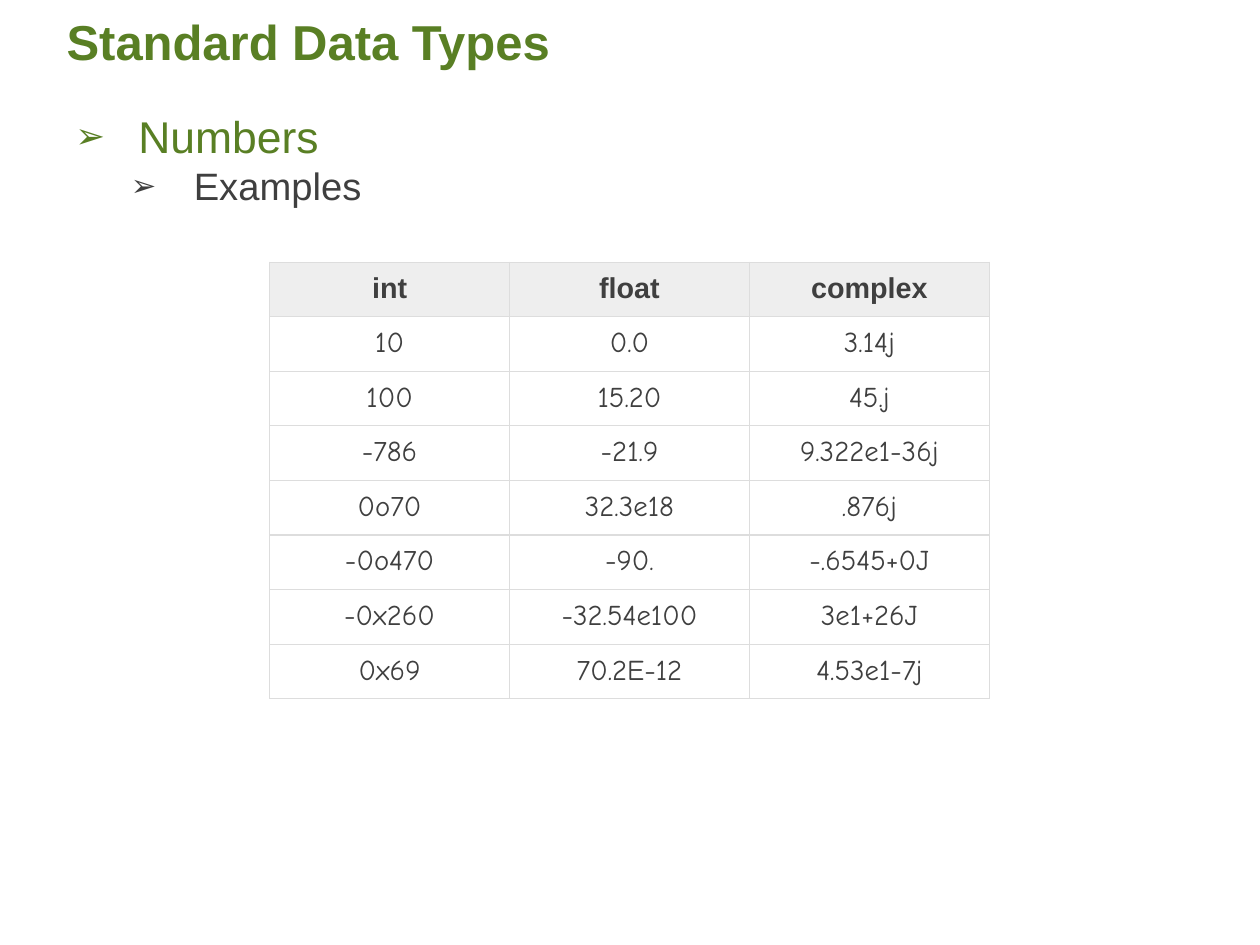
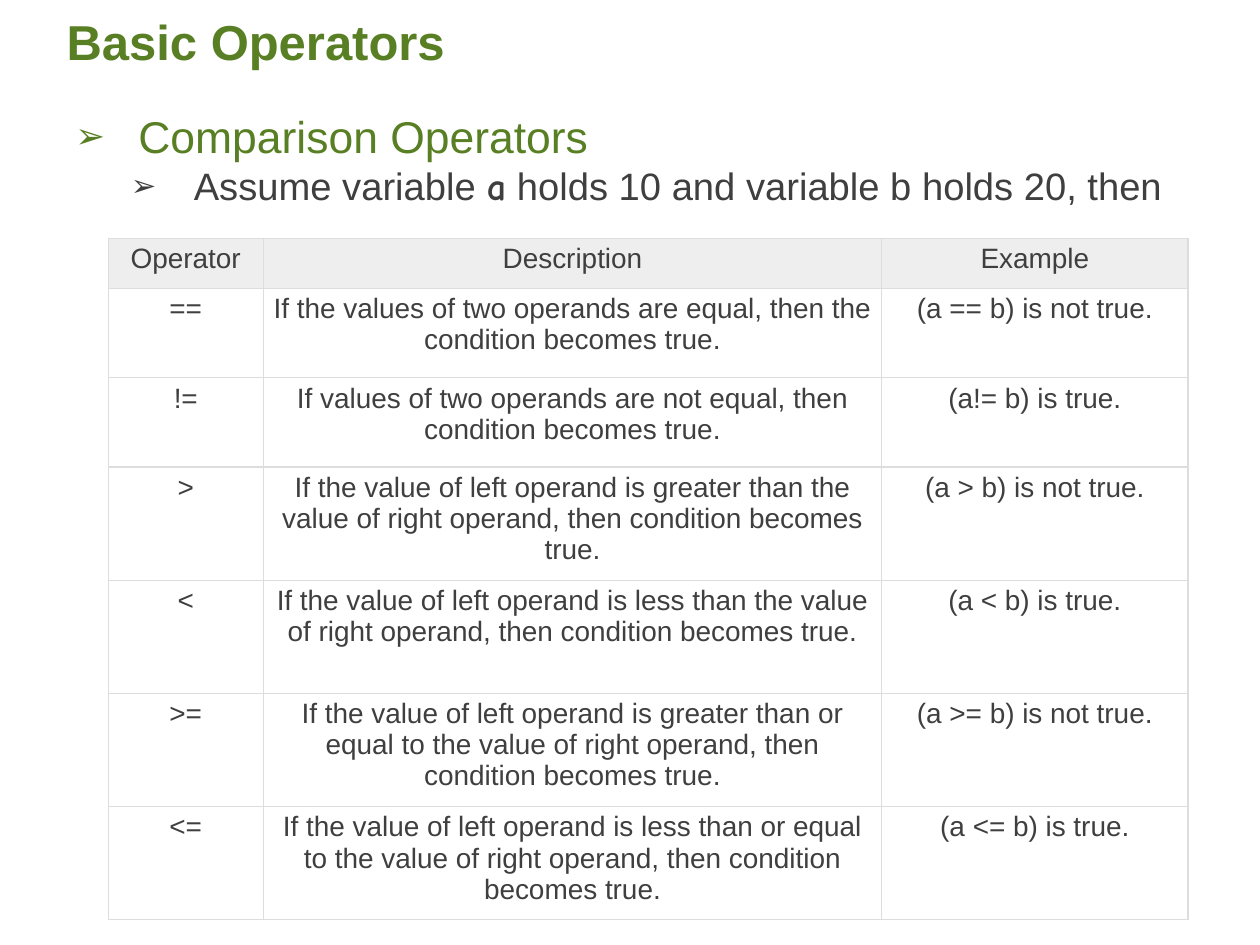
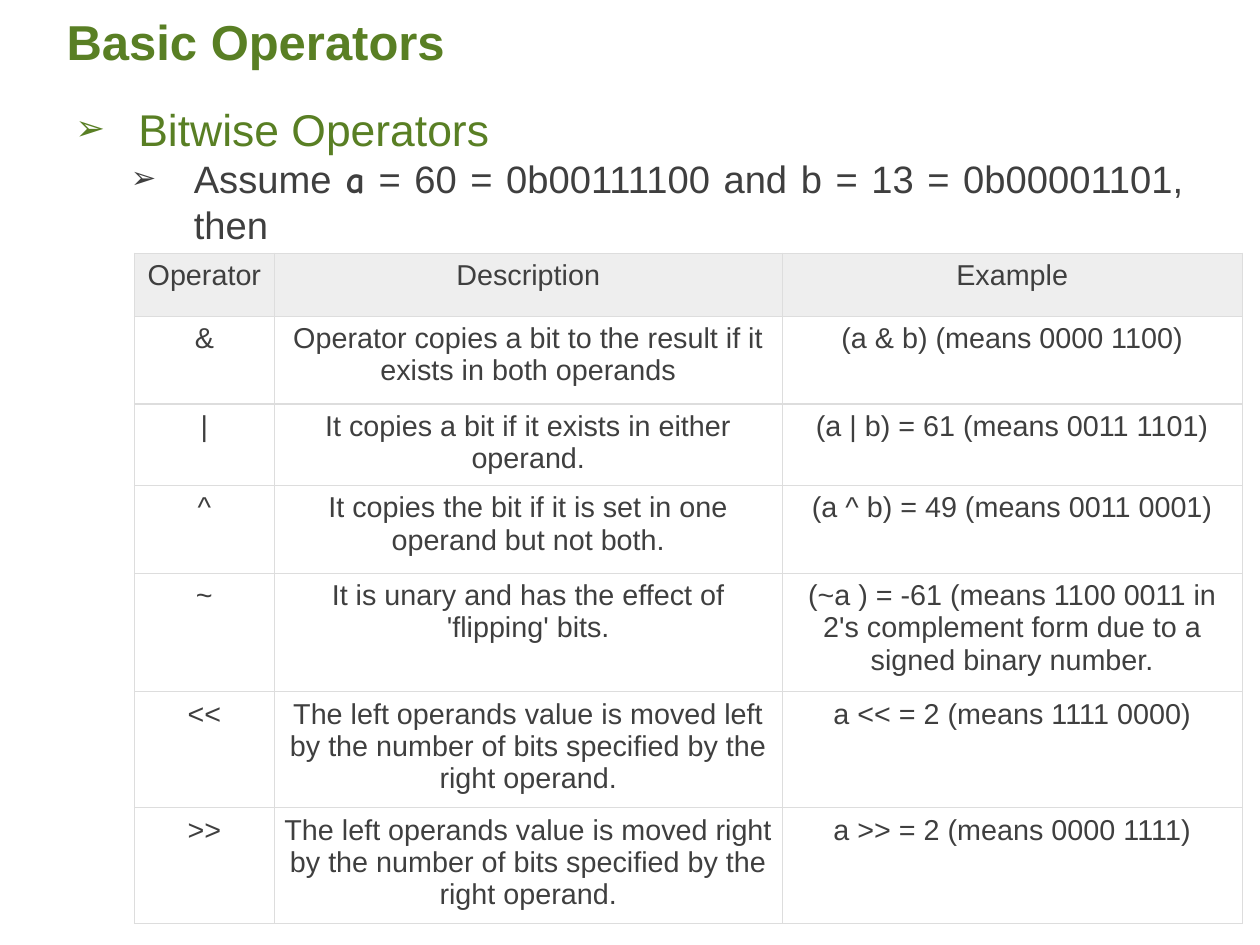
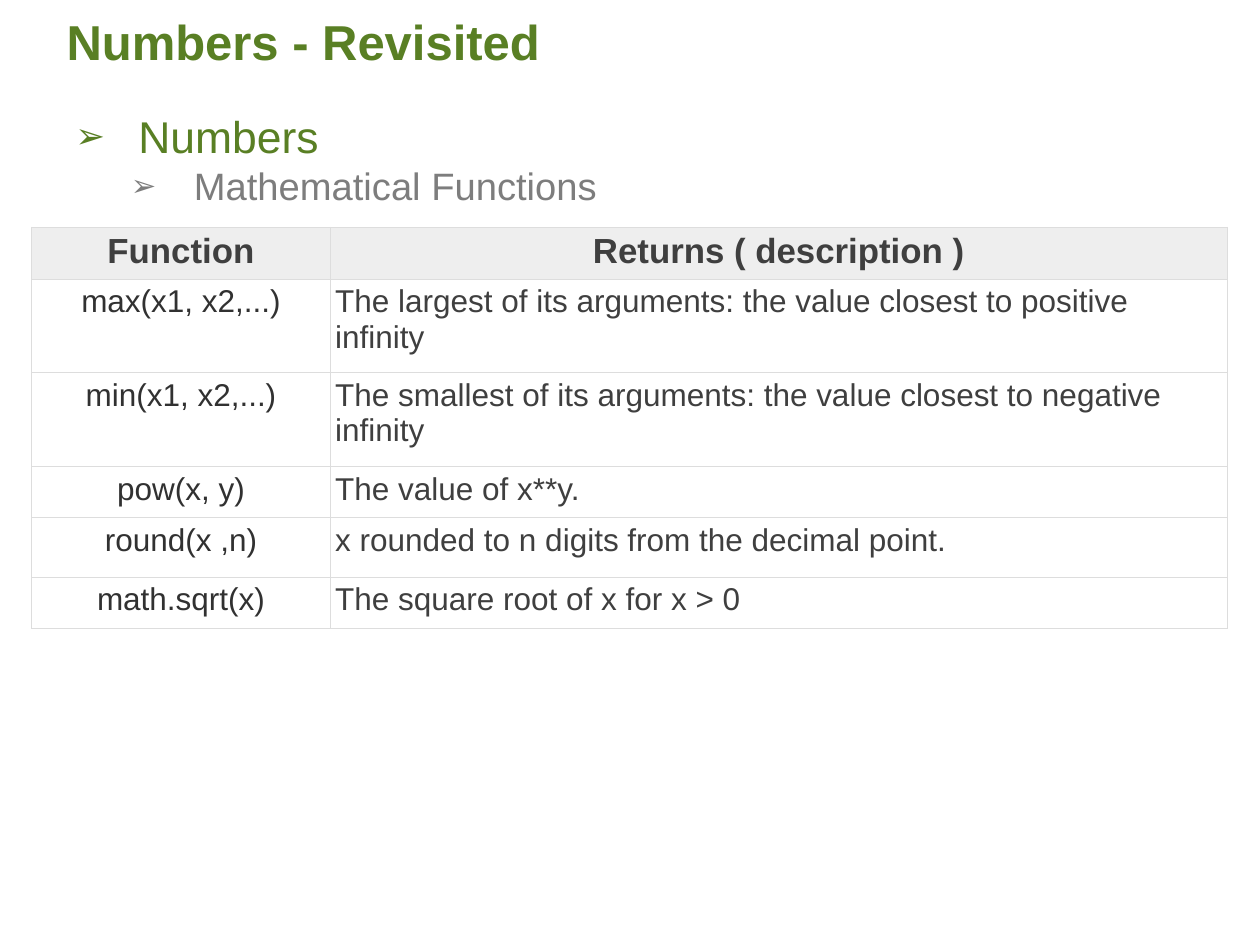
from pptx import Presentation
from pptx.dml.color import RGBColor
from pptx.enum.text import MSO_ANCHOR as Anchor, PP_ALIGN as Align
from pptx.oxml import parse_xml
from pptx.oxml.ns import nsdecls
from pptx.util import Pt

tint = RGBColor.from_string
GREEN, DARK, INK, GREY = "597F24", "3F3F3F", "313131", "7D7D7D"
HEAD, RULE = "EEEEEE", "DDDDDD"
SANS, COMIC = "Arial", "Comic Neue"

# In "lead", every second part is set in bold Comic Neue.
pages = [
    dict(
        title="Standard Data Types", topic="Numbers", lead=["Examples"],
        shade=DARK, top=59, place=(154.1, 149.8), pad=5.75,
        cols=[137.1] * 3, rows=[30.5] * 8,
        size=16.4, first=16.4, bold=True, face=COMIC, ink=DARK, last=Align.CENTER,
        cells=[
            ["int", "float", "complex"],
            ["10", "0.0", "3.14j"],
            ["100", "15.20", "45.j"],
            ["-786", "-21.9", "9.322e1-36j"],
            ["0o70", "32.3e18", ".876j"],
            ["-0o470", "-90.", "-.6545+0J"],
            ["-0x260", "-32.54e100", "3e1+26J"],
            ["0x69", "70.2E-12", "4.53e1-7j"],
        ]),
    dict(
        title="Basic Operators", topic="Comparison Operators",
        lead=["Assume variable ", "a", " holds 10 and variable b holds 20, then"],
        shade=DARK, top=59, place=(61.9, 136.1), pad=2.9,
        cols=[88.5, 353.5, 175], rows=[28.8] + [51] * 2 + [64.7] * 4,
        size=16, first=16, bold=False, face=SANS, ink=DARK, last=Align.CENTER,
        cells=[
            ["Operator", "Description", "Example"],
            ["==", "If the values of two operands are equal, then the condition "
             "becomes true.", "(a == b) is not true."],
            ["!=", "If values of two operands are not equal, then condition "
             "becomes true.", "(a!= b) is true."],
            [">", "If the value of left operand is greater than the value of right "
             "operand, then condition becomes true.", "(a > b) is not true."],
            ["<", "If the value of left operand is less than the value of right "
             "operand, then condition becomes true.", "(a < b) is true."],
            [">=", "If the value of left operand is greater than or equal to the value "
             "of right operand, then condition becomes true.", "(a >= b) is not true."],
            ["<=", "If the value of left operand is less than or equal to the value "
             "of right operand, then condition becomes true.", "(a <= b) is true."],
        ]),
    dict(
        title="Basic Operators", topic="Bitwise Operators",
        lead=["Assume ", "a", " = 60 = 0b00111100 and b = 13 = 0b00001101, then"],
        shade=DARK, top=54.7, place=(76.8, 144.7), pad=3.6,
        cols=[80, 290.2, 262.9], rows=[36, 50.2, 46.5, 50.2, 67.6, 66.2, 66.2],
        size=16.4, first=16.4, bold=False, face=SANS, ink=DARK, last=Align.CENTER,
        cells=[
            ["Operator", "Description", "Example"],
            ["&", "Operator copies a bit to the result if it exists in both operands",
             "(a & b) (means 0000 1100)"],
            ["|", "It copies a bit if it exists in either operand.",
             "(a | b) = 61 (means 0011 1101)"],
            ["^", "It copies the bit if it is set in one operand but not both.",
             "(a ^ b) = 49 (means 0011 0001)"],
            ["~", "It is unary and has the effect of 'flipping' bits.",
             "(~a ) = -61 (means 1100 0011 in 2's complement form due to a signed "
             "binary number."],
            ["<<", "The left operands value is moved left by the number of bits "
             "specified by the right operand.", "a << = 2 (means 1111 0000)"],
            [">>", "The left operands value is moved right by the number of bits "
             "specified by the right operand.", "a >> = 2 (means 0000 1111)"],
        ]),
    dict(
        title="Numbers - Revisited", topic="Numbers", lead=["Mathematical Functions"],
        shade=GREY, top=59, place=(18.2, 129.9), pad=2.9,
        cols=[170.5, 512.8], rows=[29.3, 53.5, 53.5, 29.3, 34, 29.3],
        size=18, first=19.9, bold=True, face=SANS, ink=INK, last=Align.LEFT,
        cells=[
            ["Function", "Returns ( description )"],
            ["max(x1, x2,...)",
             "The largest of its arguments: the value closest to positive infinity"],
            ["min(x1, x2,...)",
             "The smallest of its arguments: the value closest to negative infinity"],
            ["pow(x, y)", "The value of x**y."],
            ["round(x ,n)", "x rounded to n digits from the decimal point."],
            ["math.sqrt(x)", "The square root of x for x > 0"],
        ]),
]


def style(run, size, color, bold=False, face=SANS):
    font = run.font
    font.size, font.bold, font.name = Pt(size), bold, face
    font.color.rgb = tint(color)


def bullet(para, indent):
    """Give the paragraph an arrow bullet that hangs 36 points to the left."""
    props = para._p.get_or_add_pPr()
    props.set("marL", str(Pt(indent)))
    props.set("indent", str(Pt(-36)))
    for tag in ('buSzPct {} val="80000"', 'buFont {} typeface="Arial"',
                'buChar {} char="➢"'):
        props.append(parse_xml("<a:" + tag.format(nsdecls("a")) + "/>"))


deck = Presentation()
deck.slide_width, deck.slide_height = Pt(720), Pt(540)

for page in pages:
    slide = deck.slides.add_slide(deck.slide_layouts[6])

    # Title
    frame = slide.shapes.add_textbox(Pt(31), Pt(8), Pt(648), Pt(36)).text_frame
    frame.word_wrap = True
    frame.vertical_anchor = Anchor.BOTTOM
    frame.margin_top = Pt(2.9)
    frame.text = page["title"]
    para = frame.paragraphs[0]
    para.line_spacing = 0.9
    style(para.runs[0], 28, GREEN, True)

    # Topic and lead line
    frame = slide.shapes.add_textbox(Pt(36), Pt(page["top"]), Pt(648), Pt(473)).text_frame
    frame.word_wrap = True
    frame.text = page["topic"]
    topic, lead = frame.paragraphs[0], frame.add_paragraph()
    topic.space_before = Pt(18)
    style(topic.runs[0], 25.4, GREEN)
    lead.level = 1
    for i, part in enumerate(page["lead"]):
        run = lead.add_run()
        run.text = part
        odd = i % 2 == 1
        style(run, 21.8, page["shade"], odd, COMIC if odd else SANS)
    for para, indent in ((topic, 36), (lead, 67.7)):
        para.alignment = Align.JUSTIFY
        bullet(para, indent)

    # Table
    cols, rows = page["cols"], page["rows"]
    left, top = page["place"]
    grid = slide.shapes.add_table(len(rows), len(cols), Pt(left), Pt(top),
                                  Pt(sum(cols)), Pt(sum(rows))).table
    grid.first_row = grid.horz_banding = False
    for col, width in zip(grid.columns, cols):
        col.width = Pt(width)
    for r, (row, high) in enumerate(zip(grid.rows, rows)):
        row.height = Pt(high)
        for c, cell in enumerate(row.cells):
            cell.margin_left = cell.margin_right = Pt(page["pad"])
            cell.margin_top = cell.margin_bottom = Pt(page["pad"])
            cell.text = page["cells"][r][c]
            para = cell.text_frame.paragraphs[0]
            para.alignment = Align.CENTER
            if r == 0:
                style(para.runs[0], page["first"], DARK, page["bold"])
                cell.fill.solid()
                cell.fill.fore_color.rgb = tint(HEAD)
            else:
                color = page["ink"] if c == 0 else DARK
                style(para.runs[0], page["size"], color, face=page["face"])
                cell.fill.background()
                if c == len(cols) - 1:
                    para.alignment = page["last"]
            props = cell._tc.get_or_add_tcPr()
            for k, side in enumerate("LRTB"):
                props.insert(k, parse_xml(
                    f'<a:ln{side} {nsdecls("a")} w="{Pt(0.75)}"><a:solidFill>'
                    f'<a:srgbClr val="{RULE}"/></a:solidFill></a:ln{side}>'))

deck.save("out.pptx")
